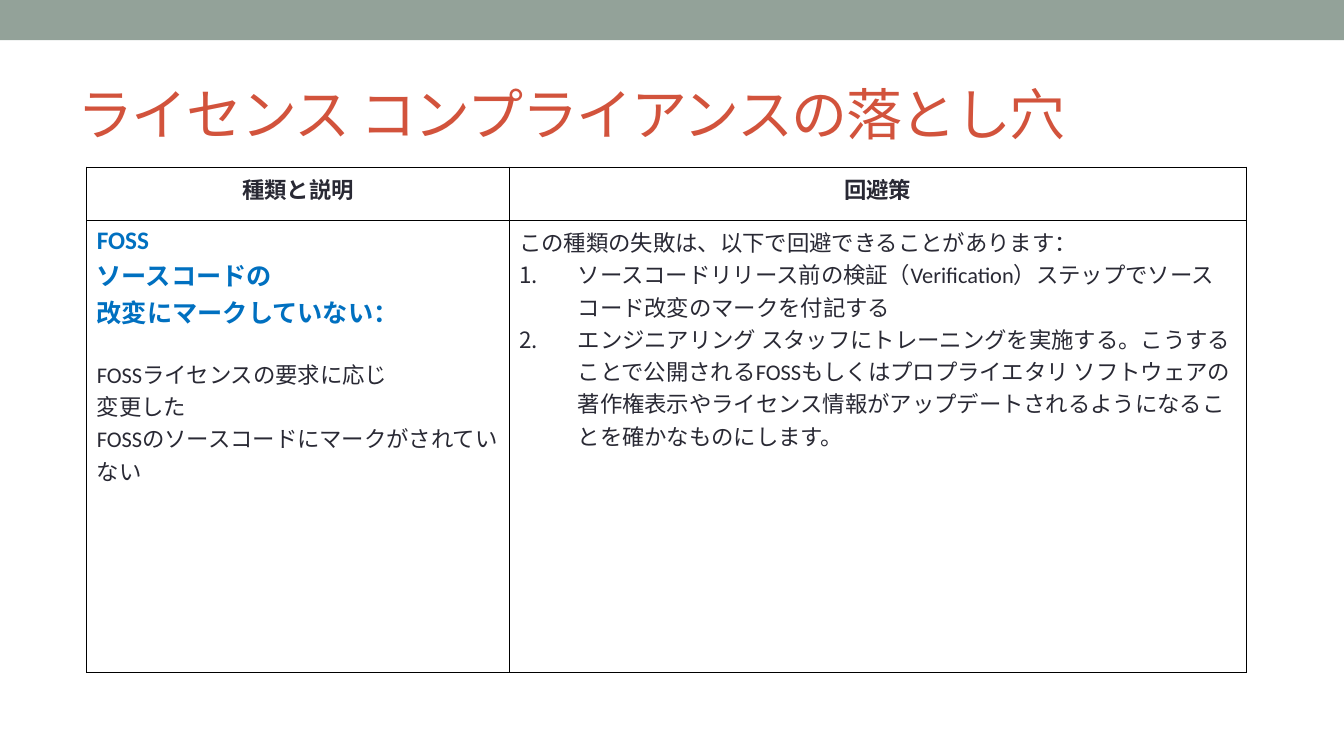
"""Builds the slide on license compliance pitfalls."""
from dataclasses import dataclass

from lxml import etree
from pptx import Presentation, util as u
from pptx.dml.color import RGBColor
from pptx.enum import shapes, text
from pptx.oxml.ns import qn


@dataclass(frozen=True)
class Theme:
    """Holds the font, colours and type sizes."""
    font: str = "Calibri"
    band: str = "93A299"
    title: str = "D2533C"
    body: str = "292934"
    accent: str = "0070C0"
    border: str = "000000"
    title_size: int = 40
    lead_size: int = 18
    body_size: int = 16


THEME = Theme()


def write(paragraph, content, size=THEME.body_size, color=THEME.body, bold=False,
          align=text.PP_ALIGN.LEFT, before=0, spacing=None, numbered=False):
    """Fills one paragraph with formatted text."""
    paragraph.alignment = align
    paragraph.space_before = u.Pt(before)
    run = paragraph.add_run()
    run.text = content
    run.font.name = THEME.font
    run.font.size = u.Pt(size)
    run.font.bold = bold
    run.font.color.rgb = RGBColor.from_string(color)
    if spacing is not None:
        run.font._element.set("spc", str(spacing))
    if numbered:
        properties = paragraph._p.get_or_add_pPr()
        hang = u.Inches(0.58)
        properties.set("marL", str(hang))
        properties.set("indent", str(-hang))
        etree.SubElement(properties, qn("a:buFont"), typeface="+mj-lt")
        etree.SubElement(properties, qn("a:buAutoNum"), type="arabicPeriod")


class SlideBuilder:
    """Draws themed elements on the current slide."""

    def __init__(self, slide, theme):
        """Keeps the slide and its style."""
        self.slide = slide
        self.theme = theme

    def band(self, left, top, width, height):
        """Adds a plain coloured band."""
        shape = self.slide.shapes.add_shape(
            shapes.MSO_SHAPE.RECTANGLE, *map(u.Inches, (left, top, width, height)))
        shape.shadow.inherit = False
        shape.fill.solid()
        shape.fill.fore_color.rgb = RGBColor.from_string(self.theme.band)
        shape.line.fill.background()

    def title(self, content, left, top, width, height):
        """Adds the vertically centred title."""
        box = self.slide.shapes.add_textbox(*map(u.Inches, (left, top, width, height)))
        frame = box.text_frame
        frame.word_wrap = True
        frame.vertical_anchor = text.MSO_ANCHOR.MIDDLE
        write(frame.paragraphs[0], content, size=self.theme.title_size,
              color=self.theme.title, spacing=-100)

    def table(self, rows, left, top, widths, heights):
        """Adds a bordered table of cells given as lists of text and format."""
        frame = self.slide.shapes.add_table(
            len(heights), len(widths),
            *map(u.Inches, (left, top, sum(widths), sum(heights))))
        table = frame.table
        table.first_row = table.horz_banding = False
        for column, width in zip(table.columns, widths):
            column.width = u.Inches(width)
        for row, height, contents in zip(table.rows, heights, rows):
            row.height = u.Inches(height)
            for cell, lines in zip(row.cells, contents):
                self.cell(cell, lines)

    def cell(self, cell, lines):
        """Fills, outlines and writes one table cell."""
        cell.fill.background()
        cell.margin_left = cell.margin_right = u.Inches(0.1)
        cell.margin_top = cell.margin_bottom = u.Inches(0.05)
        properties = cell._tc.get_or_add_tcPr()
        for index, side in enumerate(("lnL", "lnR", "lnT", "lnB")):
            line = etree.Element(qn(f"a:{side}"), w=str(u.Pt(1)))
            fill = etree.SubElement(line, qn("a:solidFill"))
            etree.SubElement(fill, qn("a:srgbClr"), val=self.theme.border)
            properties.insert(index, line)
        frame = cell.text_frame
        for index, (content, style) in enumerate(lines):
            paragraph = frame.add_paragraph() if index else frame.paragraphs[0]
            write(paragraph, content, **style)


HEADER = dict(bold=True, align=text.PP_ALIGN.CENTER)
LEAD = dict(size=THEME.lead_size, color=THEME.accent, bold=True)
STEP = dict(numbered=True)

PITFALL = [
    ("FOSS", LEAD),
    ("ソースコードの", LEAD),
    ("改変にマークしていない：", LEAD),
    ("FOSSライセンスの要求に応じ", dict(before=20)),
    ("変更した", {}),
    ("FOSSのソースコードにマークがされていない", {}),
]
REMEDY = [
    ("この種類の失敗は、以下で回避できることがあります：", {}),
    ("ソースコードリリース前の検証（Verification）ステップで"
     "ソースコード改変のマークを付記する", STEP),
    ("エンジニアリング スタッフにトレーニングを実施する。こうすることで公開される"
     "FOSSもしくはプロプライエタリ ソフトウェアの著作権表示やライセンス情報が"
     "アップデートされるようになることを確かなものにします。", STEP),
]

presentation = Presentation()
presentation.slide_width = u.Inches(13.33)
presentation.slide_height = u.Inches(7.5)
builder = SlideBuilder(presentation.slides.add_slide(presentation.slide_layouts[6]), THEME)
builder.band(0, 0, 13.33, 0.4)
builder.title("ライセンス コンプライアンスの落とし穴", 0.67, 0.58, 12, 1.08)
builder.table([[[("種類と説明", HEADER)], [("回避策", HEADER)]], [PITFALL, REMEDY]],
              0.86, 1.66, widths=(4.19, 7.31), heights=(0.53, 4.48))
presentation.save("out.pptx")
